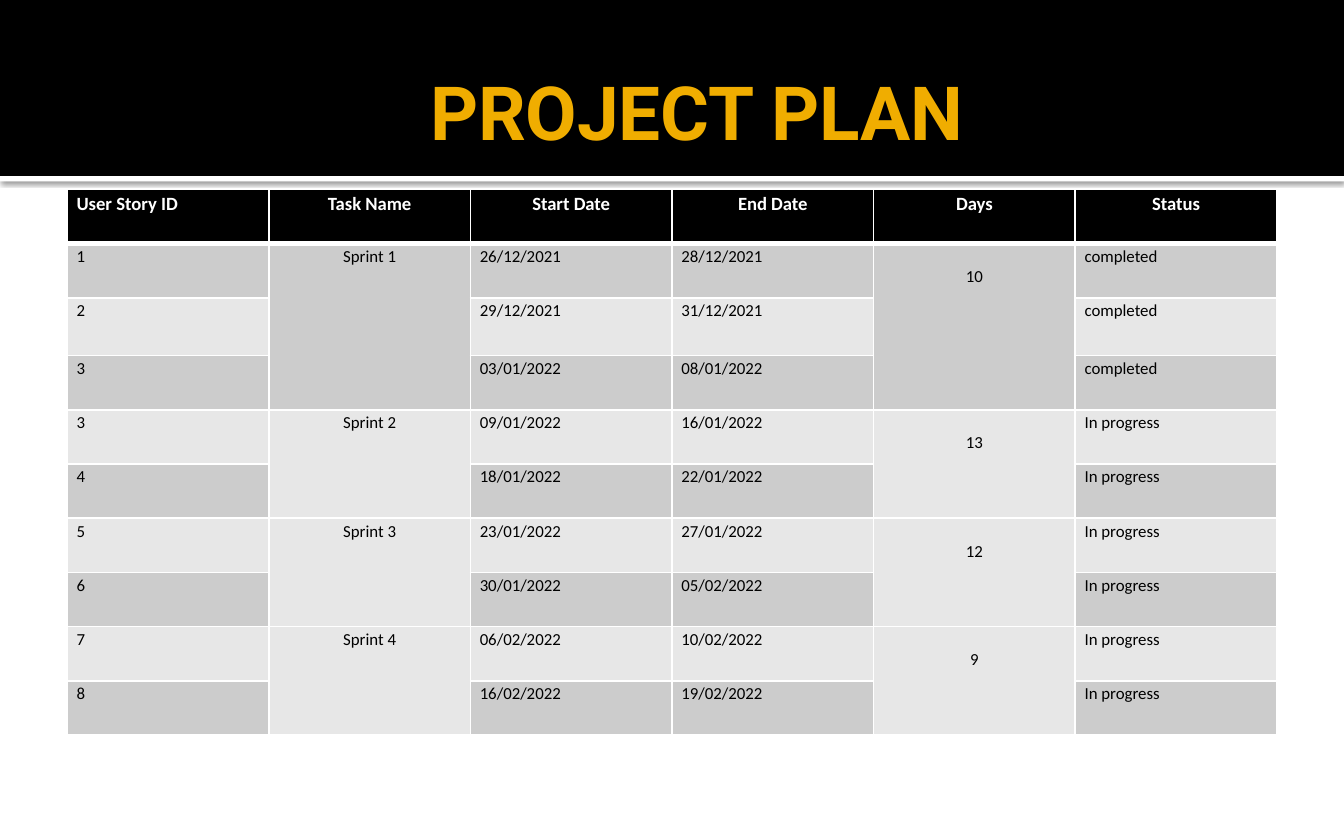
from pptx import Presentation
from pptx import util as u
from pptx.dml.color import RGBColor
from pptx.enum import shapes, text
from pptx.oxml import parse_xml
from pptx.oxml.ns import nsdecls

HEAD = ["User Story ID", "Task Name", "Start Date", "End Date", "Days", "Status"]
SPRINTS = [
    ("Sprint 1", "10", "completed", [
        ("1", "26/12/2021", "28/12/2021"),
        ("2", "29/12/2021", "31/12/2021"),
        ("3", "03/01/2022", "08/01/2022")]),
    ("Sprint 2", "13", "In progress", [
        ("3", "09/01/2022", "16/01/2022"),
        ("4", "18/01/2022", "22/01/2022")]),
    ("Sprint 3", "12", "In progress", [
        ("5", "23/01/2022", "27/01/2022"),
        ("6", "30/01/2022", "05/02/2022")]),
    ("Sprint 4", "9", "In progress", [
        ("7", "06/02/2022", "10/02/2022"),
        ("8", "16/02/2022", "19/02/2022")]),
]
BANDS = ["CCCCCC", "E7E7E7"]


def paint(fill, hue):
    fill.solid()
    fill.fore_color.rgb = RGBColor.from_string(hue)


def write(para, words, font, size, hue, bold):
    run = para.add_run()
    run.text = words
    run.font.name = font
    run.font.size = u.Pt(size)
    run.font.bold = bold
    run.font.color.rgb = RGBColor.from_string(hue)


def add_bar(slide, top, height, hue):
    bar = slide.shapes.add_shape(shapes.MSO_SHAPE.RECTANGLE, 0, u.Inches(top),
                                 u.Inches(10), u.Inches(height))
    bar.shadow.inherit = False
    paint(bar.fill, hue)
    bar.line.fill.background()
    return bar


def add_shade(bar):
    props = bar.element.spPr
    props.remove(props.find("{*}effectLst"))
    props.append(parse_xml(
        f'<a:effectLst {nsdecls("a")}>'
        f'<a:outerShdw blurRad="{u.Pt(2.5)}" dist="{u.Pt(0.8)}" dir="5400000"'
        ' algn="tl" rotWithShape="0"><a:srgbClr val="000000">'
        '<a:alpha val="60000"/></a:srgbClr></a:outerShdw></a:effectLst>'))


def set_title(slide):
    title = slide.shapes.title
    title.left, title.top = u.Inches(0.5), u.Inches(0.47)
    title.width, title.height = u.Inches(9), u.Inches(0.7)
    frame = title.text_frame
    frame.auto_size = text.MSO_AUTO_SIZE.NONE
    frame.vertical_anchor = text.MSO_ANCHOR.MIDDLE
    frame.margin_left = u.Inches(2.7)
    frame.margin_right = frame.margin_top = frame.margin_bottom = u.Inches(0.05)
    para = frame.paragraphs[0]
    para.alignment = text.PP_ALIGN.LEFT
    write(para, "PROJECT PLAN", "Roboto", 40, "F0AD00", True)
    slide.shapes.element.append(title.element)


def add_edges(cell, base):
    props = cell._tc.get_or_add_tcPr()
    for spot, (side, width) in enumerate(zip("LRTB", (1, 1, 1, base))):
        props.insert(spot, parse_xml(
            f'<a:ln{side} {nsdecls("a")} w="{u.Pt(width)}"><a:solidFill>'
            f'<a:srgbClr val="FFFFFF"/></a:solidFill></a:ln{side}>'))


def style(cell, hue, base=1):
    paint(cell.fill, hue)
    add_edges(cell, base)
    cell.margin_left = cell.margin_right = u.Inches(0.07)
    cell.margin_top = cell.margin_bottom = 0


def put(cell, words, size=9, hue="000000", bold=False, mid=False):
    para = cell.text_frame.paragraphs[0]
    para.line_spacing = 1.15
    para.alignment = text.PP_ALIGN.CENTER if mid else text.PP_ALIGN.LEFT
    write(para, words, "Calibri", size, hue, bold)


def fill_sprint(grid, row, sprint):
    task, days, state, plan = sprint
    last = row + len(plan) - 1
    for col in (1, 4):
        grid.cell(row, col).merge(grid.cell(last, col))
    put(grid.cell(row, 1), task, mid=True)
    put(grid.cell(row, 4), days, mid=True)
    grid.cell(row, 4).margin_top = u.Inches(0.15)
    for step, (story, start, end) in enumerate(plan, row):
        for col, words in zip((0, 2, 3, 5), (story, start, end, state)):
            put(grid.cell(step, col), words)
    return last + 1


def add_plan(slide):
    count = 1 + sum(len(sprint[3]) for sprint in SPRINTS)
    grid = slide.shapes.add_table(count, len(HEAD), u.Inches(0.5), u.Inches(1.41),
                                  u.Inches(9), u.Inches(4.06)).table
    for num, row in enumerate(grid.rows):
        row.height = u.Inches(0.43 if num == 2 else (4.06 - 0.43) / (count - 1))
        for cell in row.cells:
            if num:
                style(cell, BANDS[(num - 1) % 2])
            else:
                style(cell, "000000", 3)
    for col, words in enumerate(HEAD):
        put(grid.cell(0, col), words, 10, "FFFFFF", True, col > 0)
    row = 1
    for sprint in SPRINTS:
        row = fill_sprint(grid, row, sprint)


def main():
    deck = Presentation()
    deck.slide_width, deck.slide_height = u.Inches(10), u.Inches(6.25)
    slide = deck.slides.add_slide(deck.slide_layouts[5])
    paint(slide.background.fill, "FFFFFF")
    add_shade(add_bar(slide, 1.31, 0.04, "FFFFFF"))
    add_bar(slide, 0, 1.31, "000000")
    set_title(slide)
    add_plan(slide)
    deck.save("out.pptx")


if __name__ == "__main__":
    main()
